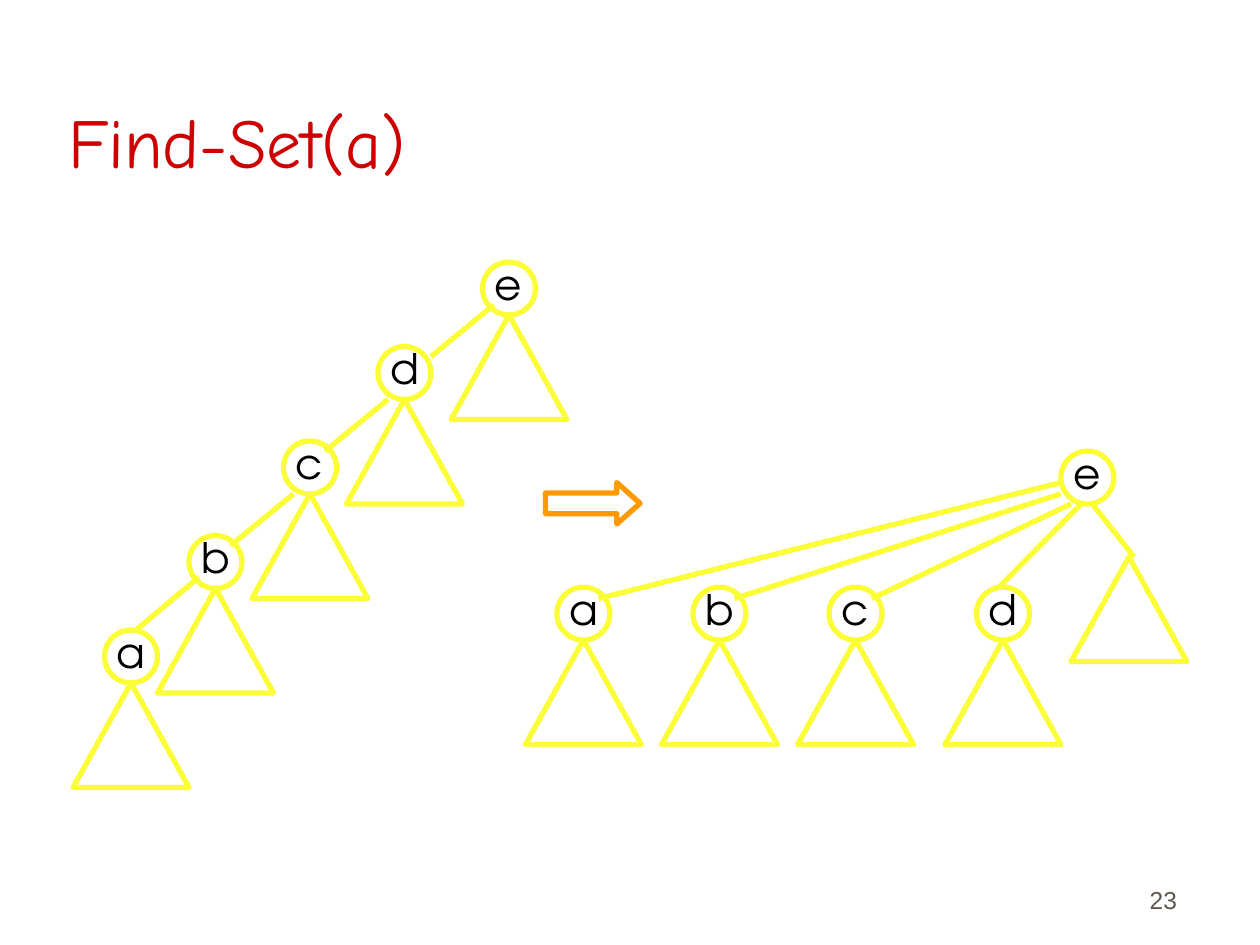
import pptx
import pptx.util
import pptx.dml.color
import pptx.enum.shapes
import pptx.enum.text
import pptx.oxml.ns
import lxml.etree

Inches = pptx.util.Inches
Pt = pptx.util.Pt
RGB = pptx.dml.color.RGBColor.from_string
SHAPE = pptx.enum.shapes.MSO_SHAPE
ANCHOR = pptx.enum.text.MSO_ANCHOR
ALIGN = pptx.enum.text.PP_ALIGN

COLORS = {"title": "CC0000", "tree": "FBFE36", "arrow": "FF9900",
          "label": "000000", "number": "5E574E"}
LABEL_WIDTHS = {"a": 0.38, "b": 0.4, "c": 0.36, "d": 0.4, "e": 0.39}

presentation = pptx.Presentation()
presentation.slide_width = Inches(10)
presentation.slide_height = Inches(7.5)
slide = presentation.slides.add_slide(presentation.slide_layouts[5])


def add_node(group, name, x, y, subtree_dx=-0.25, subtree_dy=0.42):
    subtree = group.shapes.add_shape(
        SHAPE.ISOSCELES_TRIANGLE, Inches(x + subtree_dx), Inches(y + subtree_dy),
        Inches(0.92), Inches(0.83))
    circle = group.shapes.add_shape(
        SHAPE.OVAL, Inches(x), Inches(y), Inches(0.42), Inches(0.42))
    for outline in (subtree, circle):
        outline.shadow.inherit = False
        outline.fill.background()
        outline.line.color.rgb = RGB(COLORS["tree"])
        outline.line.width = Pt(3)
    label = group.shapes.add_textbox(
        Inches(x), Inches(y - 0.08), Inches(LABEL_WIDTHS[name]), Inches(0.5))
    label.text_frame.word_wrap = False
    label.text_frame.auto_size = pptx.enum.text.MSO_AUTO_SIZE.SHAPE_TO_FIT_TEXT
    label.text_frame.text = name
    font = label.text_frame.paragraphs[0].runs[0].font
    font.name = "TeX Gyre Adventor"
    font.size = Pt(24)
    font.color.rgb = RGB(COLORS["label"])


def add_edge(parent, x1, y1, x2, y2):
    edge = parent.shapes.add_connector(
        pptx.enum.shapes.MSO_CONNECTOR.STRAIGHT,
        Inches(x1), Inches(y1), Inches(x2), Inches(y2))
    edge.line.color.rgb = RGB(COLORS["tree"])
    edge.line.width = Pt(3)
    lxml.etree.SubElement(edge._element.spPr, pptx.oxml.ns.qn("a:effectLst"))


title = slide.shapes.title
title.left, title.top = Inches(0.44), Inches(0.25)
title.width, title.height = Inches(8.5), Inches(1.25)
title.text_frame.text = "Find-Set(a)"
title.text_frame.vertical_anchor = ANCHOR.BOTTOM
heading = title.text_frame.paragraphs[0]
heading.alignment = ALIGN.LEFT
heading.runs[0].font.name = "Comic Neue"
heading.runs[0].font.size = Pt(40)
heading.runs[0].font.color.rgb = RGB(COLORS["title"])

page = slide.shapes.add_textbox(Inches(7.36), Inches(6.81), Inches(2.08), Inches(0.5))
page.text_frame.word_wrap = True
page.text_frame.vertical_anchor = ANCHOR.BOTTOM
page.text_frame.text = "23"
number = page.text_frame.paragraphs[0]
number.alignment = ALIGN.RIGHT
number.runs[0].font.name = "Arial"
number.runs[0].font.size = Pt(14)
number.runs[0].font.color.rgb = RGB(COLORS["number"])

chain = [("a", 0.83, 5), ("b", 1.5, 4.25), ("c", 2.25, 3.5),
         ("d", 3, 2.75), ("e", 3.83, 2.08)]
for name, x, y in chain:
    add_node(slide.shapes.add_group_shape(), name, x, y)

chain_edges = [(1.08, 5, 1.58, 4.58), (1.83, 4.33, 2.33, 3.92),
               (2.58, 3.58, 3.08, 3.17), (3.42, 2.83, 3.92, 2.42)]
for ends in chain_edges:
    add_edge(slide, *ends)

flat_tree = slide.shapes.add_group_shape()
add_node(flat_tree, "e", 8.42, 3.58, subtree_dx=0.08, subtree_dy=0.84)
for name, x in [("d", 7.75), ("c", 6.58), ("b", 5.5), ("a", 4.42)]:
    add_node(flat_tree, name, x, 4.66)

flat_edges = [(4.75, 4.75, 8.42, 3.83), (5.83, 4.75, 8.42, 3.92),
              (6.92, 4.75, 8.5, 4), (7.92, 4.67, 8.58, 4), (9, 4.42, 8.67, 4)]
for ends in flat_edges:
    add_edge(flat_tree, *ends)

arrow = slide.shapes.add_shape(
    SHAPE.RIGHT_ARROW, Inches(4.33), Inches(3.83), Inches(0.75), Inches(0.33))
arrow.adjustments[0] = 0.5
arrow.adjustments[1] = 0.56
arrow.shadow.inherit = False
arrow.fill.background()
arrow.line.color.rgb = RGB(COLORS["arrow"])
arrow.line.width = Pt(3)

presentation.save("out.pptx")
